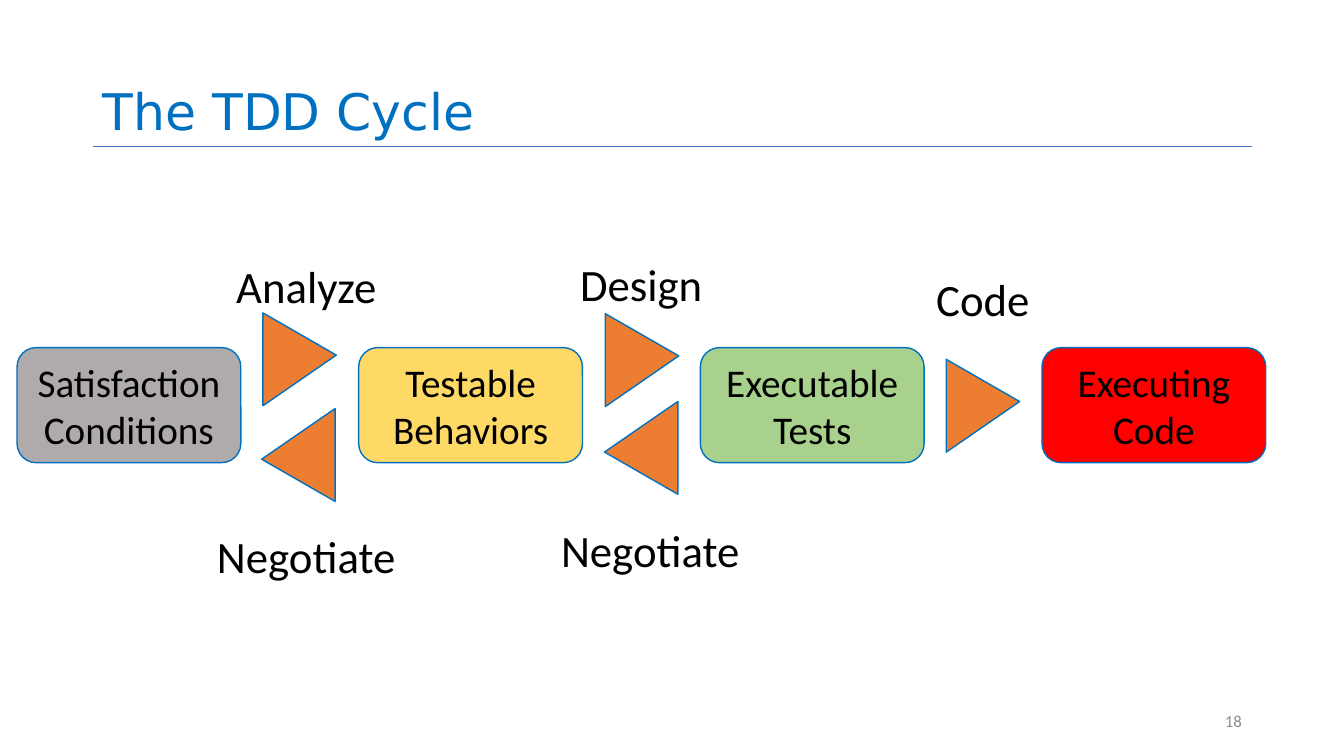
from pptx import Presentation
from pptx.dml.color import RGBColor
from pptx.enum.shapes import MSO_CONNECTOR as Link, MSO_SHAPE as Kind
from pptx.enum.text import MSO_ANCHOR as Anchor, PP_ALIGN as Align
from pptx.oxml.ns import qn
from pptx.util import Cm, Pt
from lxml import etree

BLUE = RGBColor(0x00, 0x70, 0xC0)
RULE = RGBColor(0x44, 0x72, 0xC4)
BLACK = RGBColor(0x00, 0x00, 0x00)
GRAY = RGBColor(0x8C, 0x8C, 0x8C)
STONE = RGBColor(0xAF, 0xAB, 0xAB)
YELLOW = RGBColor(0xFF, 0xD9, 0x66)
GREEN = RGBColor(0xA9, 0xD1, 0x8E)
RED = RGBColor(0xFF, 0x00, 0x00)
ORANGE = RGBColor(0xED, 0x7D, 0x31)


class Deck:
    def __init__(self):
        self.show = Presentation()
        self.show.slide_width, self.show.slide_height = Cm(33.87), Cm(19.05)
        self.slide = self.show.slides.add_slide(self.show.slide_layouts[6])
        self.shapes = self.slide.shapes

    def letter(self, shape, text, size, color=BLACK, font="Calibri",
               align=Align.CENTER, anchor=Anchor.MIDDLE, spacing=1.0):
        """Put styled text into a shape."""
        frame = shape.text_frame
        frame.word_wrap = True
        frame.vertical_anchor = anchor
        para = frame.paragraphs[0]
        para.alignment, para.line_spacing = align, spacing
        run = para.add_run()
        run.text = text
        for key, value in {"name": font, "size": Pt(size)}.items():
            setattr(run.font, key, value)
        run.font.color.rgb = color

    def label(self, text, x, y, wide=6.1, high=1.52, size=32, **style):
        box = self.shapes.add_textbox(Cm(x), Cm(y), Cm(wide), Cm(high))
        self.letter(box, text, size, **style)

    def solid(self, kind, x, y, wide, high, fill):
        shape = self.shapes.add_shape(kind, Cm(x), Cm(y), Cm(wide), Cm(high))
        shape.shadow.inherit = False
        shape.fill.solid()
        shape.fill.fore_color.rgb = fill
        shape.line.color.rgb = BLUE
        shape.line.width = Pt(1)
        return shape

    def stage(self, text, x, fill):
        box = self.solid(Kind.ROUNDED_RECTANGLE, x, 8.76, 5.64, 2.9, fill)
        self.letter(box, text, 28)

    def arrow(self, x, y, turn):
        mark = self.solid(Kind.ISOSCELES_TRIANGLE, x, y, 2.34, 1.85, ORANGE)
        mark.adjustments[0] = 0.455
        mark.rotation = turn

    def rule(self, x, y, end):
        line = self.shapes.add_connector(Link.STRAIGHT, Cm(x), Cm(y), Cm(end), Cm(y))
        line.line.color.rgb = RULE
        line.line.width = Pt(0.5)
        etree.SubElement(line._element.spPr, qn("a:effectLst"))


STAGES = [("Satisfaction Conditions", STONE), ("Testable Behaviors", YELLOW),
          ("Executable Tests", GREEN), ("Executing Code", RED)]
# word, its left and top, the arrow's left and top, the arrow's turn
STEPS = [("Analyze", 4.67, 6.43, 6.38, 8.13, 90),
         ("Design", 13.11, 6.38, 15.01, 8.15, 90),
         ("Code", 21.72, 6.76, 23.6, 9.3, 90),
         ("Negotiate", 4.67, 13.23, 6.35, 10.54, 270),
         ("Negotiate", 13.34, 13.08, 14.99, 10.36, 270)]


def main():
    deck = Deck()
    deck.rule(2.34, 3.68, 31.55)
    deck.label("The TDD Cycle", 2.34, 0, 29.21, 3.68, 36, color=BLUE,
               font="DejaVu Sans", align=Align.LEFT, anchor=Anchor.BOTTOM,
               spacing=0.9)
    deck.label("18", 23.93, 17.65, 7.62, 1.02, 12, color=GRAY, align=Align.RIGHT)
    for i, (text, fill) in enumerate(STAGES):
        deck.stage(text, 0.43 + 8.61 * i, fill)
    for word, x, y, left, top, turn in STEPS:
        deck.arrow(left, top, turn)
        deck.label(word, x, y)
    deck.show.save("out.pptx")


if __name__ == "__main__":
    main()
